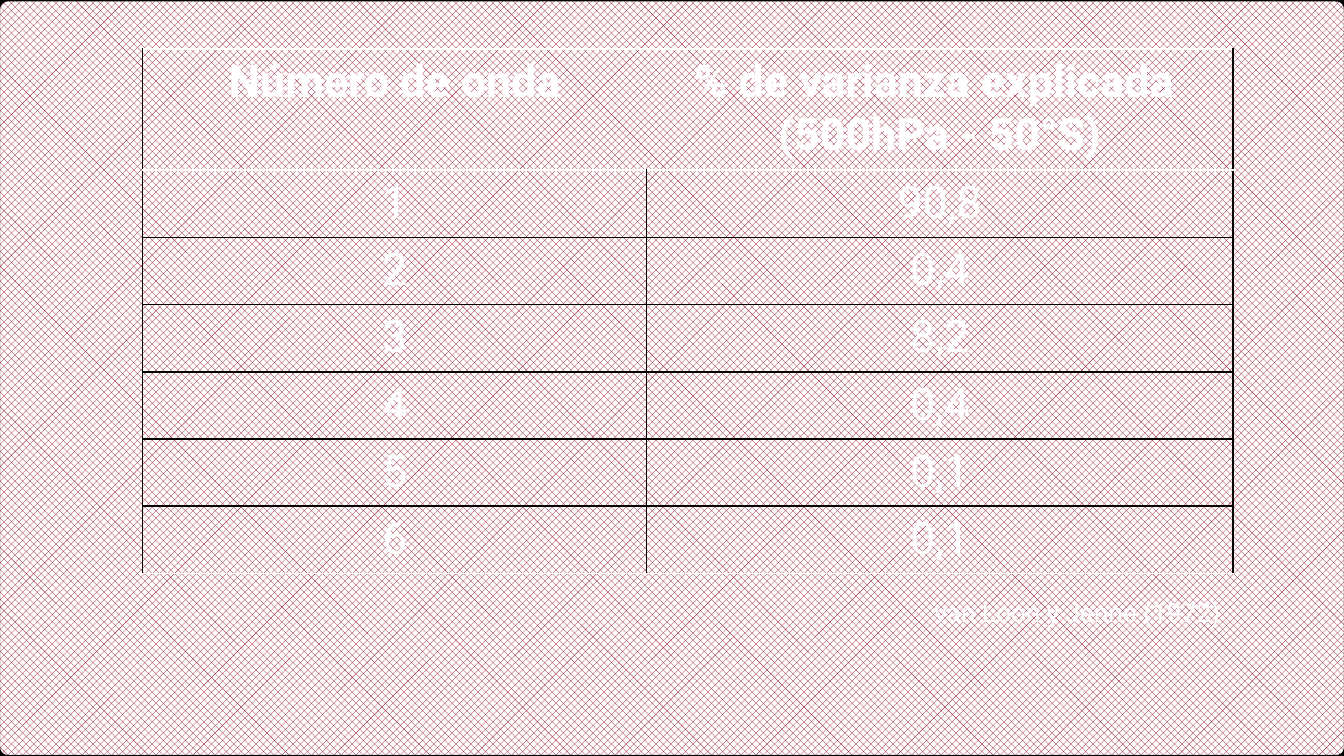
from lxml import etree
from pptx import Presentation
from pptx.dml.color import RGBColor
from pptx.enum.dml import MSO_PATTERN
from pptx.enum.shapes import MSO_SHAPE
from pptx.enum.text import PP_ALIGN
from pptx.oxml.ns import qn
from pptx.util import Pt

RECT, ROUND_RECT = MSO_SHAPE.RECTANGLE, MSO_SHAPE.ROUNDED_RECTANGLE
DIAMONDS = MSO_PATTERN.from_xml("openDmnd")
CENTER, RIGHT = PP_ALIGN.CENTER, PP_ALIGN.RIGHT

COLORS = {"white": "FFFFFF", "black": "000000", "red": "8F001E", "purple": "210028"}
FONT = "Roboto"
ROWS = [
    ("Número de onda", "% de varianza explicada \n(500hPa - 50°S)"),
    ("1", "90,8"),
    ("2", "0,4"),
    ("3", "8,2"),
    ("4", "0,4"),
    ("5", "0,1"),
    ("6", "0,1"),
]
CITATION = "van Loon y Jenne (1972)"
SLIDE_W, SLIDE_H = 720, 405
TABLE_LEFT, TABLE_TOP = 76.4, 26.4
COL_WIDTHS = [270, 314]
HEADER_H, ROW_H = 64.8, 36
BORDER_W = 0.96


def rgb(name):
    return RGBColor.from_string(COLORS[name])


def add_panel(s, kind, box, line, width):
    sp = s.shapes.add_shape(kind, *map(Pt, box))
    sp.shadow.inherit = False
    sp.fill.background()
    sp.line.color.rgb = rgb(line)
    sp.line.width = Pt(width)
    return sp


def style_text(tf, size, align, bold=False):
    for p in tf.paragraphs:
        p.alignment = align
        for r in p.runs:
            r.font.name = FONT
            r.font.size = Pt(size)
            r.font.bold = bold
            r.font.color.rgb = rgb("white")


def set_border(cell, side, color):
    ln = etree.SubElement(cell._tc.get_or_add_tcPr(), qn(f"a:ln{side}"), w=str(Pt(BORDER_W)))
    if color is None:
        etree.SubElement(ln, qn("a:noFill"))
    else:
        fill = etree.SubElement(ln, qn("a:solidFill"))
        etree.SubElement(fill, qn("a:srgbClr"), val=COLORS[color])


def add_background(s):
    pattern = add_panel(s, RECT, (-37.4, -10, 793.4, 429.8), "purple", 1.5)
    pattern.fill.patterned()
    pattern.fill.pattern = DIAMONDS
    pattern.fill.fore_color.rgb = rgb("red")
    pattern.fill.back_color.rgb = rgb("white")
    frame = add_panel(s, ROUND_RECT, (-2.9, -2.2, 725.8, 409.7), "black", 6)
    frame.adjustments[0] = 0.017


def add_variance_table(s):
    last = len(ROWS) - 1
    height = HEADER_H + ROW_H * last
    table = s.shapes.add_table(
        len(ROWS), len(COL_WIDTHS), Pt(TABLE_LEFT), Pt(TABLE_TOP),
        Pt(sum(COL_WIDTHS)), Pt(height)).table
    table.first_row = table.horz_banding = False
    for col, width in zip(table.columns, COL_WIDTHS):
        col.width = Pt(width)
    for i, texts in enumerate(ROWS):
        header = i == 0
        table.rows[i].height = Pt(HEADER_H if header else ROW_H)
        inner = None if header else "black"
        top = "white" if i <= 1 else "black"
        bottom = "white" if i in (0, last) else "black"
        for j, text in enumerate(texts):
            cell = table.cell(i, j)
            cell.text_frame.text = text
            style_text(cell.text_frame, 24, CENTER, bold=header)
            left, right = ("black", inner) if j == 0 else (inner, "black")
            for side, color in zip("LRTB", (left, right, top, bottom)):
                set_border(cell, side, color)
            cell.fill.background()


def add_citation(s):
    tf = s.shapes.add_textbox(Pt(422.6), Pt(316), Pt(238.4), Pt(24)).text_frame
    tf.word_wrap = True
    tf.text = CITATION
    style_text(tf, 14, RIGHT)


def main():
    prs = Presentation()
    prs.slide_width, prs.slide_height = Pt(SLIDE_W), Pt(SLIDE_H)
    s = prs.slides.add_slide(prs.slide_layouts[6])
    s.background.fill.solid()
    s.background.fill.fore_color.rgb = rgb("white")
    add_background(s)
    add_variance_table(s)
    add_citation(s)
    prs.save("out.pptx")


if __name__ == "__main__":
    main()
